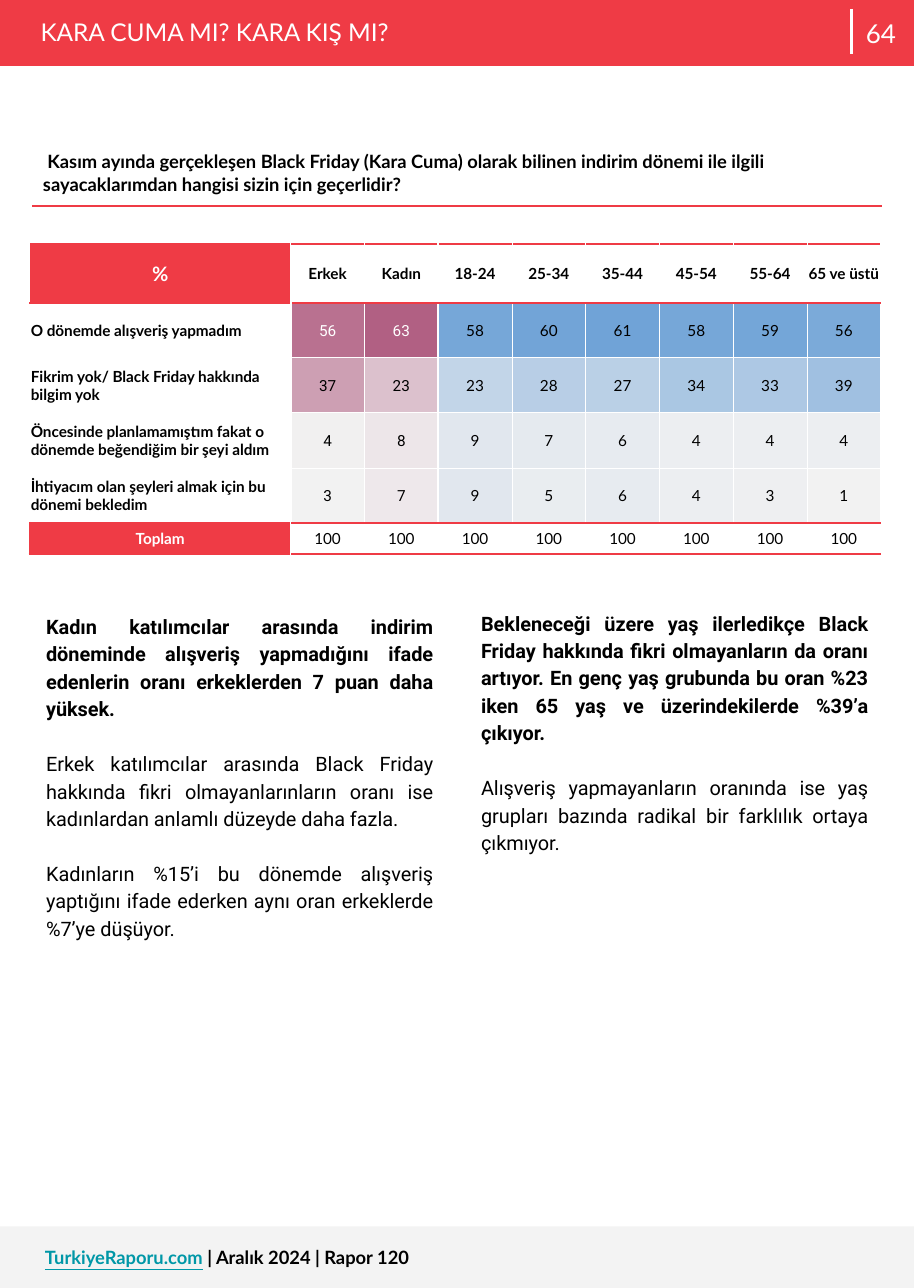
from lxml import etree
from pptx import Presentation
from pptx import util as u
from pptx.dml.color import RGBColor
from pptx.enum import shapes, text
from pptx.oxml.ns import qn

# Content
TITLE = "KARA CUMA MI? KARA KIŞ MI?"
PAGE_NUMBER = "64"
QUESTION = ("Kasım ayında gerçekleşen Black Friday (Kara Cuma) olarak bilinen indirim dönemi "
            "ile ilgili sayacaklarımdan hangisi sizin için geçerlidir?")
HEADER = ["%", "Erkek", "Kadın", "18-24", "25-34", "35-44", "45-54", "55-64", "65 ve üstü"]
ANSWERS = [
    ("O dönemde alışveriş yapmadım", [56, 63, 58, 60, 61, 58, 59, 56]),
    ("Fikrim yok/ Black Friday hakkında bilgim yok", [37, 23, 23, 28, 27, 34, 33, 39]),
    ("Öncesinde planlamamıştım fakat o dönemde beğendiğim bir şeyi aldım",
     [4, 8, 9, 7, 6, 4, 4, 4]),
    ("İhtiyacım olan şeyleri almak için bu dönemi bekledim", [3, 7, 9, 5, 6, 4, 3, 1]),
]
TOTAL = ("Toplam", [100] * 8)
COMMENTS = [
    (0.32, 5.45, [
        "Kadın katılımcılar arasında indirim döneminde alışveriş yapmadığını ifade edenlerin "
        "oranı erkeklerden 7 puan daha yüksek.",
        "Erkek katılımcılar arasında Black Friday hakkında fikri olmayanlarınların oranı ise "
        "kadınlardan anlamlı düzeyde daha fazla.",
        "Kadınların %15’i bu dönemde alışveriş yaptığını ifade ederken aynı oran erkeklerde "
        "%7’ye düşüyor.",
    ]),
    (4.27, 5.42, [
        "Bekleneceği üzere yaş ilerledikçe Black Friday hakkında fikri olmayanların da oranı "
        "artıyor. En genç yaş grubunda bu oran %23 iken 65 yaş ve üzerindekilerde %39’a çıkıyor.",
        "Alışveriş yapmayanların oranında ise yaş grupları bazında radikal bir farklılık "
        "ortaya çıkmıyor.",
    ]),
]
FOOTER = [("TurkiyeRaporu.com", "teal"), (" | Aralık 2024 | Rapor 120", "black")]

COLORS = {"red": "EF3B45", "white": "FFFFFF", "black": "000000", "grey": "F3F3F3",
          "teal": "0097A7", "low": "F2F2F2", "gender": "B16083", "age": "70A3D7"}
PAGE_WIDTH, PAGE_HEIGHT = 8.3, 11.7
COLUMN_WIDTHS = [2.37] + [0.67] * 8
ROW_HEIGHTS = [0.53] + [0.5] * 4 + [0.28]
GENDER_COLUMNS = 2

presentation = Presentation()
presentation.slide_width = u.Inches(PAGE_WIDTH)
presentation.slide_height = u.Inches(PAGE_HEIGHT)
slide = presentation.slides.add_slide(presentation.slide_layouts[6])


def rgb(name):
    return RGBColor.from_string(COLORS[name])


def style(run, size, color, font="Lato", bold=False):
    run.font.size = u.Pt(size)
    run.font.name = font
    run.font.bold = bold
    run.font.color.rgb = rgb(color)


def add_band(top, height, color):
    band = slide.shapes.add_shape(shapes.MSO_SHAPE.RECTANGLE, 0, u.Inches(top),
                                  u.Inches(PAGE_WIDTH), u.Inches(height))
    band.shadow.inherit = False
    band.fill.solid()
    band.fill.fore_color.rgb = rgb(color)
    band.line.fill.background()


def add_text(left, top, width, height):
    frame = slide.shapes.add_textbox(*map(u.Inches, (left, top, width, height))).text_frame
    frame.word_wrap = True
    frame.margin_left = frame.margin_right = u.Inches(0.1)
    frame.margin_top = frame.margin_bottom = u.Inches(0.1)
    return frame


def add_table(left, top, widths, heights):
    table = slide.shapes.add_table(len(heights), len(widths), u.Inches(left), u.Inches(top),
                                   u.Inches(sum(widths)), u.Inches(sum(heights))).table
    table.first_row = table.horz_banding = False
    for column, width in zip(table.columns, widths):
        column.width = u.Inches(width)
    for row, height in zip(table.rows, heights):
        row.height = u.Inches(height)
    return table


def set_borders(cell, **sides):
    properties = cell._tc.get_or_add_tcPr()
    for side in "LRTB":
        color, width = sides[side]
        line = etree.SubElement(properties, qn("a:ln" + side), w=str(u.Pt(width)))
        fill = etree.SubElement(line, qn("a:solidFill"))
        etree.SubElement(fill, qn("a:srgbClr"), val=COLORS[color])


def set_margins(cell, side, bottom):
    cell.margin_left = cell.margin_right = cell.margin_top = u.Inches(side)
    cell.margin_bottom = u.Inches(bottom)


def heat_color(value, group, values):
    """Blend from the low colour to the group's colour between its extremes."""
    share = (value - min(values)) / (max(values) - min(values))
    low, high = rgb("low"), rgb(group)
    return RGBColor(*(round(a + (b - a) * share) for a, b in zip(low, high)))


# Header and footer bands
add_band(0, 0.6, "red")
add_band(11.14, PAGE_HEIGHT - 11.14, "grey")

footer = add_text(0.31, 11.22, 6.96, 0.41).paragraphs[0]
for words, color in FOOTER:
    run = footer.add_run()
    run.text = words
    style(run, 12, color, bold=True)
    run.font.underline = color == "teal"

title = add_text(0.27, 0.06, 7.46, 0.47)
title.text = TITLE
style(title.paragraphs[0].runs[0], 16, "white")

page = add_text(7.73, 0.05, 0.54, 0.5)
page.text = PAGE_NUMBER
page.vertical_anchor = text.MSO_ANCHOR.MIDDLE
page.paragraphs[0].alignment = text.PP_ALIGN.CENTER
style(page.paragraphs[0].runs[0], 17, "white")

divider = slide.shapes.add_connector(shapes.MSO_CONNECTOR.STRAIGHT, u.Inches(7.73),
                                     u.Inches(0.08), u.Inches(7.73), u.Inches(0.49))
divider.line.color.rgb = rgb("white")
divider.line.width = u.Pt(2.25)
etree.SubElement(divider._element.spPr, qn("a:effectLst"))

# Survey question
question = add_table(0.29, 1.27, [7.72], [0.6]).cell(0, 0)
edge = ("white", 0.75)
set_borders(question, L=edge, R=edge, T=edge, B=("red", 1))
question.fill.solid()
question.fill.fore_color.rgb = rgb("white")
set_margins(question, 0.1, 0.1)
question.text = QUESTION
paragraph = question.text_frame.paragraphs[0]
paragraph._p.get_or_add_pPr().set("indent", str(u.Inches(0.04)))
style(paragraph.runs[0], 12, "black", bold=True)

# Results table
results = add_table(0.27, 2.22, COLUMN_WIDTHS, ROW_HEIGHTS)
rows = [HEADER] + [[label] + values for label, values in ANSWERS + [TOTAL]]
last = len(rows) - 1
group_values = {
    "gender": [v for _, values in ANSWERS for v in values[:GENDER_COLUMNS]],
    "age": [v for _, values in ANSWERS for v in values[GENDER_COLUMNS:]],
}


def horizontal_edge(index, column):
    if index in (0, 1, last, last + 1):
        return "red", 1.5
    return "white", 0.5 if column else 1.5


def vertical_edge(index, row):
    if index == 0:
        return ("red", 1.5) if row == last else ("white", 1)
    thick = index == 1 + GENDER_COLUMNS or (index == 1 and 0 < row < last)
    return "white", 1.5 if thick else 0.5


for r, row in enumerate(rows):
    for c, value in enumerate(row):
        cell = results.cell(r, c)
        is_answer = 0 < r < last
        group = "gender" if c <= GENDER_COLUMNS else "age"
        is_heat = is_answer and c > 0
        is_red = c == 0 and not is_answer
        set_borders(cell, L=vertical_edge(c, r), R=vertical_edge(c + 1, r),
                    T=horizontal_edge(r, c), B=horizontal_edge(r + 1, c))
        if is_heat or is_red:
            cell.fill.solid()
            cell.fill.fore_color.rgb = (heat_color(value, group, group_values[group])
                                        if is_heat else rgb("red"))
        else:
            cell.fill.background()
        set_margins(cell, 0.01, 0)
        cell.vertical_anchor = text.MSO_ANCHOR.MIDDLE
        cell.text = str(value)
        paragraph = cell.text_frame.paragraphs[0]
        if c > 0 or is_red:
            paragraph.alignment = text.PP_ALIGN.CENTER
        on_dark = is_red or (is_heat and r == 1 and group == "gender")
        style(paragraph.runs[0], 13 if r == c == 0 else 10, "white" if on_dark else "black",
              "Roboto" if is_heat and group == "gender" else "Lato", r == 0 or c == 0)

# Comments
for left, top, paragraphs in COMMENTS:
    frame = add_text(left, top, 3.71, 3.26)
    frame.text = "\n".join(paragraphs)
    for i, paragraph in enumerate(frame.paragraphs):
        paragraph.alignment = text.PP_ALIGN.JUSTIFY
        paragraph.line_spacing = 1.15
        if i:
            paragraph.space_before = u.Pt(18)
        style(paragraph.runs[0], 13, "black", "Roboto", bold=i == 0)

presentation.save("out.pptx")
